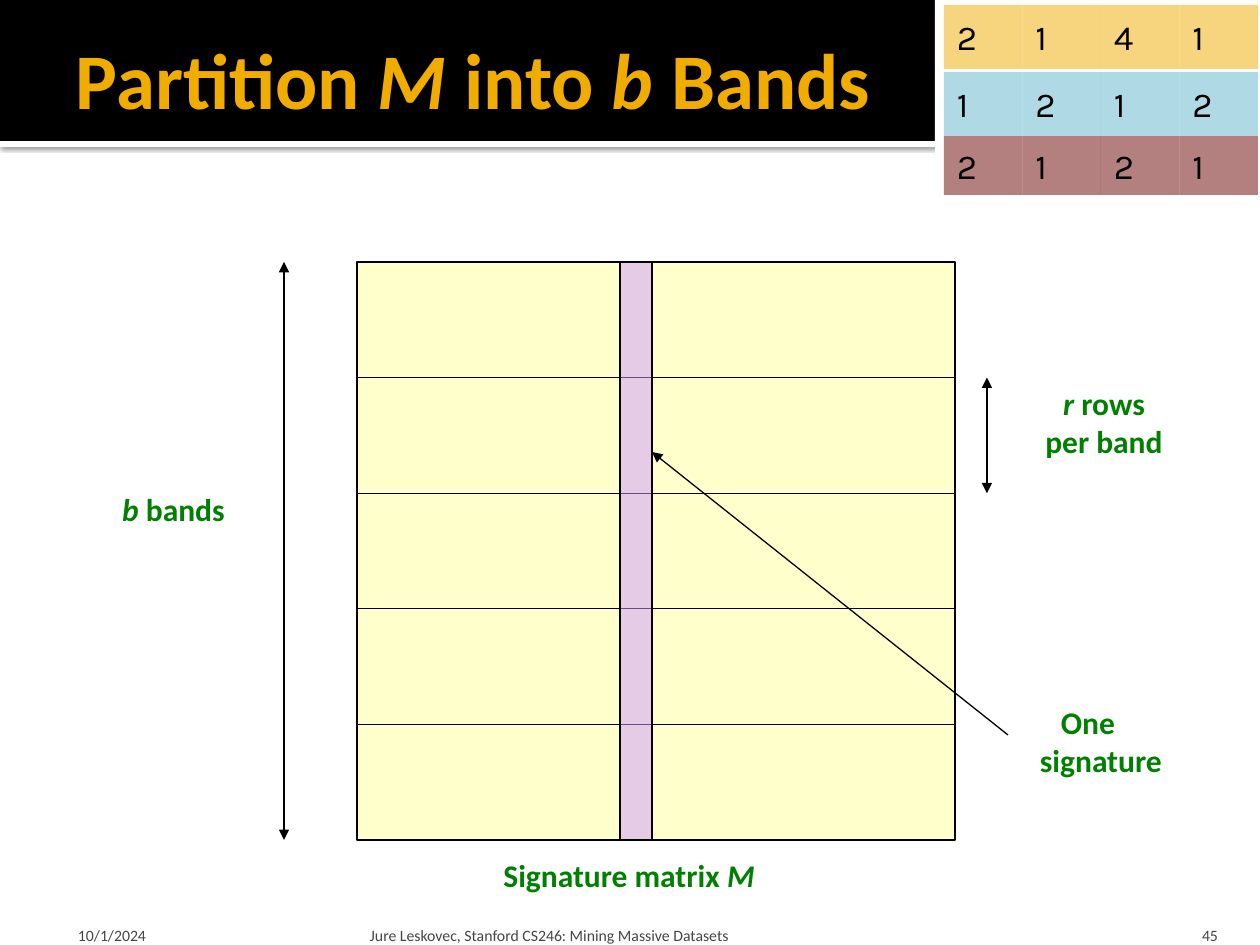
import pptx
import pptx.dml.color
import pptx.enum.shapes
import pptx.enum.text
import pptx.oxml
import pptx.oxml.ns
import pptx.util
from lxml import etree

RGB = pptx.dml.color.RGBColor
BLACK = RGB(0, 0, 0)
WHITE = RGB(255, 255, 255)
AMBER = RGB(0xF0, 0xAD, 0x00)
SKY = RGB(0x60, 0xB5, 0xCC)
MAROON = RGB(0x68, 0x00, 0x00)
YELLOW = RGB(0xFF, 0xFF, 0x99)
VIOLET = RGB(0xCC, 0x99, 0xFF)
GREEN = RGB(0x00, 0x80, 0x00)
GREY = RGB(0x45, 0x45, 0x45)

EMU_PER_PX = 914400 / 126
Pt = pptx.util.Pt
ALIGN = pptx.enum.text.PP_ALIGN
ANCHOR = pptx.enum.text.MSO_ANCHOR
TITLE = ({"name": "Calibri", "size": Pt(45), "bold": True}, AMBER)
LABEL = ({"name": "Calibri", "size": Pt(18), "bold": True}, GREEN)
FOOTER = ({"name": "Calibri", "size": Pt(9)}, GREY)
DIGIT = ({"name": "Karla", "size": Pt(20)}, BLACK)


def px(value):
    return pptx.util.Emu(round(value * EMU_PER_PX))


def sub(parent, tag, **attributes):
    return etree.SubElement(parent, pptx.oxml.ns.qn(tag), attributes)


def add_block(slide, box, color, opacity=100, outlined=False):
    block = slide.shapes.add_shape(
        pptx.enum.shapes.MSO_SHAPE.RECTANGLE, *map(px, box))
    block.shadow.inherit = False
    block.fill.solid()
    block.fill.fore_color.rgb = color
    if opacity < 100:
        tint = block.fill._xPr.find(".//" + pptx.oxml.ns.qn("a:srgbClr"))
        sub(tint, "a:alpha", val=str(opacity * 1000))
    if outlined:
        block.line.color.rgb = BLACK
        block.line.width = Pt(0.75)
    else:
        block.line.fill.background()
    return block


def add_line(slide, start, end, heads=()):
    line = slide.shapes.add_connector(
        pptx.enum.shapes.MSO_CONNECTOR.STRAIGHT, *map(px, (*start, *end)))
    line.line.color.rgb = BLACK
    line.line.width = Pt(0.75)
    outline = line.line._get_or_add_ln()
    for head in heads:
        sub(outline, head, type="triangle")
    sub(line._element.spPr, "a:effectLst")


def write(shape, paragraphs, style, align=ALIGN.LEFT, anchor=ANCHOR.TOP,
          wrap=True, insets=(13, 6, 13, 6)):
    frame = shape.text_frame
    sides = ("margin_left", "margin_top", "margin_right", "margin_bottom")
    layout = dict(zip(sides, map(px, insets)))
    layout.update(word_wrap=wrap, vertical_anchor=anchor)
    for key, value in layout.items():
        setattr(frame, key, value)
    formats, color = style
    for index, pieces in enumerate(paragraphs):
        paragraph = frame.add_paragraph() if index else frame.paragraphs[0]
        paragraph.alignment = align
        for text, italic in pieces:
            run = paragraph.add_run()
            run.text = text
            for key, value in {**formats, "italic": italic}.items():
                setattr(run.font, key, value)
            run.font.color.rgb = color
    return frame


def add_text(slide, box, paragraphs, style, **layout):
    return write(slide.shapes.add_textbox(*map(px, box)),
                 paragraphs, style, **layout)


def draw_header(slide, box):
    left, top, width, height = box
    strip = add_block(slide, (left, top + height, width, 6), WHITE)
    effects = strip._element.spPr.find(pptx.oxml.ns.qn("a:effectLst"))
    shadow = sub(effects, "a:outerShdw", blurRad=str(Pt(2.5)),
                 dist=str(Pt(0.8)), dir="5400000", rotWithShape="0")
    sub(sub(shadow, "a:srgbClr", val=str(BLACK)), "a:alpha", val="60000")
    add_block(slide, box, BLACK)
    add_text(slide, (left + 63, top + 10, 1134, 136),
             [[("Partition ", False), ("M", True), (" into ", False),
               ("b", True), (" Bands", False)]],
             TITLE, anchor=ANCHOR.MIDDLE, insets=(13, 6, 6, 6))


def draw_footer(slide, box):
    left, top, width, height = box
    entries = [
        (63, 294, "10/1/2024", ALIGN.LEFT, (15, 6, 6, 0)),
        (364, 758, "Jure Leskovec, Stanford CS246: Mining Massive Datasets",
         ALIGN.LEFT, (6, 6, 6, 0)),
        (1130, 101, "45", ALIGN.RIGHT, (13, 6, 13, 0)),
    ]
    for offset, entry_width, text, align, insets in entries:
        add_text(slide, (left + offset, top, entry_width, height),
                 [[(text, False)]], FOOTER, align=align,
                 anchor=ANCHOR.BOTTOM, insets=insets)


def draw_band_matrix(slide, box, bands=5):
    left, top, width, height = box
    right, bottom = left + width, top + height
    band = height / bands
    both_heads = ("a:headEnd", "a:tailEnd")
    add_block(slide, box, YELLOW, 50, outlined=True)
    for number in range(1, bands):
        y = top + number * band
        add_line(slide, (left, y), (right, y))
    add_line(slide, (right + 32, top + band), (right + 32, top + 2 * band),
             both_heads)
    add_line(slide, (left - 73, top), (left - 73, bottom), both_heads)

    column_left, column_width = left + 263, 32
    add_block(slide, (column_left, top, column_width, height), VIOLET, 50,
              outlined=True)
    add_line(slide, (right + 53, top + 473),
             (column_left + column_width, top + 190), ("a:tailEnd",))

    centred = {"align": ALIGN.CENTER, "wrap": False}
    add_text(slide, (left + 124, bottom + 10, 296, 50),
             [[("Signature matrix ", False), ("M", True)]], LABEL, **centred)
    add_text(slide, (right + 76, top + 116, 146, 89),
             [[("r", True), (" rows", False)], [("per band", False)]],
             LABEL, **centred)
    add_text(slide, (left - 252, top + 222, 137, 50),
             [[("b", True), (" bands", False)]], LABEL, **centred)
    signature = add_text(slide, (right + 72, top + 435, 154, 88),
                         [[("One", False)], [("signature", False)]],
                         LABEL, wrap=False)
    indent = signature.paragraphs[0]._p.get_or_add_pPr()
    indent.set("marL", str(px(21)))
    indent.set("indent", "0")


def draw_corner_matrix(slide, box):
    left, top, width, height = box
    add_block(slide, box, WHITE)
    rows = [
        (5, 64, AMBER, "2141"),
        (72, 64, SKY, "1212"),
        (136, 59, MAROON, "2121"),
    ]
    cell_width = (width - 11) / 4
    for offset, row_height, color, digits in rows:
        for column, digit in enumerate(digits):
            cell = add_block(
                slide, (left + 9 + column * cell_width, top + offset,
                        cell_width, row_height), color, 50)
            write(cell, [[(digit, False)]], DIGIT, anchor=ANCHOR.MIDDLE)


def main():
    deck = pptx.Presentation()
    deck.slide_width, deck.slide_height = px(1260), px(945)
    slide = deck.slides.add_slide(deck.slide_layouts[6])
    draw_header(slide, (0, 0, 1260, 141))
    draw_footer(slide, (0, 907, 1260, 38))
    draw_band_matrix(slide, (357, 262, 598, 578))
    draw_corner_matrix(slide, (935, 0, 325, 199))
    deck.save("out.pptx")


if __name__ == "__main__":
    main()
